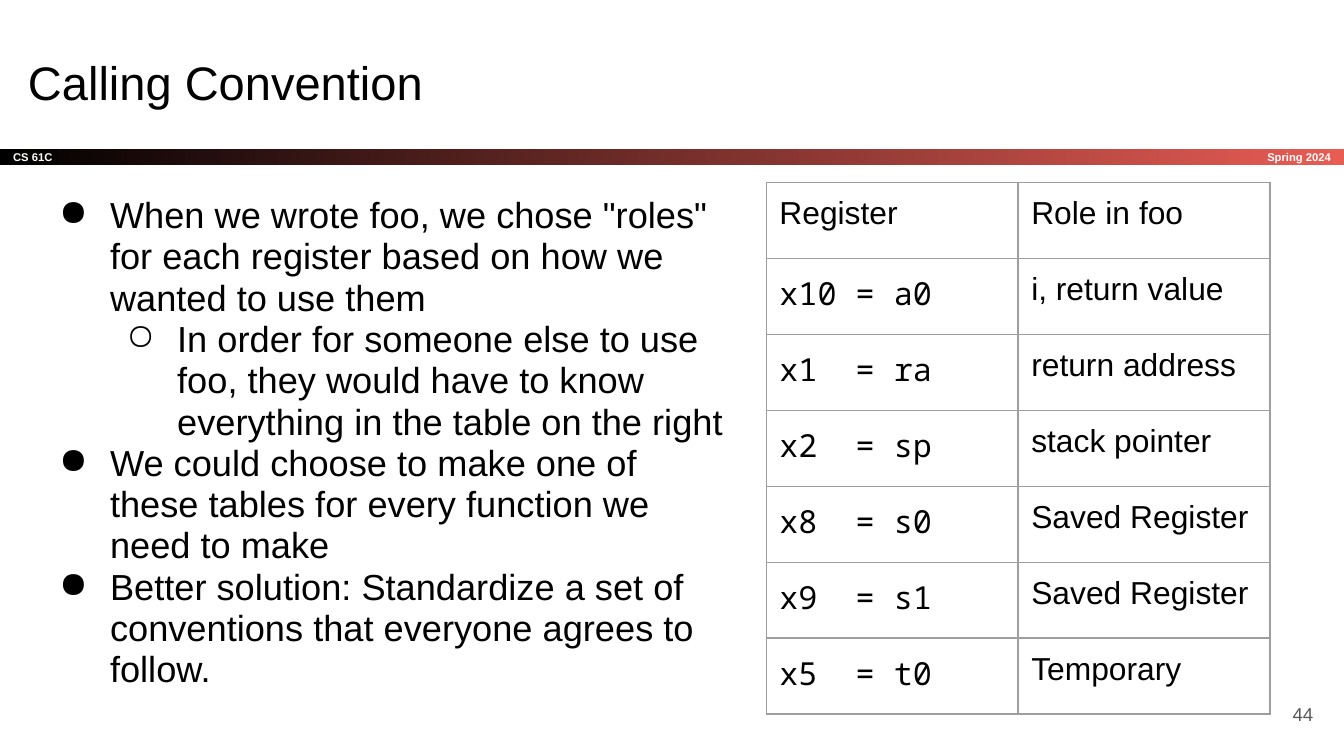
from lxml.etree import SubElement
from pptx import Presentation
from pptx.dml.color import RGBColor
from pptx.enum.shapes import MSO_SHAPE
from pptx.enum.text import MSO_ANCHOR as Anchor, PP_ALIGN as Align
from pptx.oxml.ns import qn
from pptx.util import Cm, Pt

BLACK = RGBColor(0, 0, 0)
WHITE = RGBColor(255, 255, 255)
RED = RGBColor(0xE8, 0x5C, 0x54)
GRAY = RGBColor(0x59, 0x59, 0x59)
RULE = RGBColor(0x9E, 0x9E, 0x9E)
SANS, MONO = "Arial", "Noto Sans Mono"
WIDTH, HEIGHT = 25.4, 14.29
PAD = Cm(0.25)

TITLE = "Calling Convention"
COURSE, TERM, NUMBER = "CS 61C", "Spring 2024", "44"
POINTS = [
    (0, 'When we wrote foo, we chose "roles" for each register based on how we wanted to use them'),
    (1, "In order for someone else to use foo, they would have to know everything in the table on the right"),
    (0, "We could choose to make one of these tables for every function we need to make"),
    (0, "Better solution: Standardize a set of conventions that everyone agrees to follow."),
]
HEADER = ("Register", "Role in foo")
ROLES = [
    ("x10 = a0", "i, return value"),
    ("x1  = ra", "return address"),
    ("x2  = sp", "stack pointer"),
    ("x8  = s0", "Saved Register"),
    ("x9  = s1", "Saved Register"),
    ("x5  = t0", "Temporary"),
]
BAND = (2.82, 0.3)  # top, height
BULLETS = "●○"
INDENT, HANG = 1.27, 0.96
COL, ROW = 4.76, 1.435


def style(para, size, color=BLACK, face=SANS, bold=False):
    font = para.font
    font.size, font.name, font.bold = Pt(size), face, bold
    font.color.rgb = color


def pad(frame):
    frame.margin_left = frame.margin_right = PAD
    frame.margin_top = frame.margin_bottom = PAD


def write(shape, text, size, color, bold=False, align=Align.LEFT, anchor=Anchor.MIDDLE):
    frame = shape.text_frame
    frame.word_wrap = True
    frame.vertical_anchor = anchor
    pad(frame)
    para = frame.paragraphs[0]
    para.text, para.alignment = text, align
    style(para, size, color, bold=bold)


def add_box(slide, left, top, width, height):
    return slide.shapes.add_textbox(Cm(left), Cm(top), Cm(width), Cm(height))


def add_band(slide):
    top, high = BAND
    band = slide.shapes.add_shape(MSO_SHAPE.RECTANGLE, 0, Cm(top), Cm(WIDTH), Cm(high))
    band.shadow.inherit = False
    band.line.fill.background()
    band.fill.gradient()
    band.fill.gradient_angle = 0
    for stop, color in zip(band.fill.gradient_stops, (BLACK, RED)):
        stop.color.rgb = color
    write(band, COURSE, 6, WHITE, bold=True)
    term = add_box(slide, WIDTH - 4.22, top, 4.22, high)
    write(term, TERM, 6, WHITE, bold=True, align=Align.RIGHT)


def add_points(slide):
    frame = add_box(slide, 0.56, 3.45, 13.46, 10.46).text_frame
    frame.word_wrap = True
    pad(frame)
    for i, (level, text) in enumerate(POINTS):
        para = frame.add_paragraph() if i else frame.paragraphs[0]
        para.text, para.level, para.line_spacing = text, level, 0.95
        props = para._p.get_or_add_pPr()
        props.set("marL", str(Cm(INDENT * (level + 1))))
        props.set("indent", str(-Cm(HANG)))
        tint = SubElement(props, qn("a:buClr"))
        SubElement(tint, qn("a:srgbClr"), val=str(BLACK))
        SubElement(props, qn("a:buChar"), char=BULLETS[level])
        style(para, 19.4)


def add_borders(cell):
    props = cell._tc.get_or_add_tcPr()
    for side in "LRTB":
        line = SubElement(props, qn(f"a:ln{side}"), w=str(Pt(0.75)))
        fill = SubElement(line, qn("a:solidFill"))
        SubElement(fill, qn("a:srgbClr"), val=str(RULE))


def add_roles(slide):
    rows = [HEADER, *ROLES]
    table = slide.shapes.add_table(len(rows), len(HEADER), Cm(14.48), Cm(3.45),
                                   Cm(COL * len(HEADER)), Cm(ROW * len(rows))).table
    table.first_row = table.horz_banding = False
    for col in table.columns:
        col.width = Cm(COL)
    for r, row in enumerate(rows):
        table.rows[r].height = Cm(ROW)
        for c, text in enumerate(row):
            cell = table.cell(r, c)
            pad(cell)
            add_borders(cell)
            cell.fill.background()
            para = cell.text_frame.paragraphs[0]
            para.text = text
            style(para, 17, face=MONO if r and c == 0 else SANS)


def main():
    deck = Presentation()
    deck.slide_width, deck.slide_height = Cm(WIDTH), Cm(HEIGHT)
    slide = deck.slides.add_slide(deck.slide_layouts[6])
    add_band(slide)
    write(add_box(slide, 0.28, 0.76, 23.67, 1.6), TITLE, 25.2, BLACK, anchor=Anchor.TOP)
    add_points(slide)
    write(add_box(slide, 23.55, 12.95, 1.52, 1.09), NUMBER, 10, GRAY, align=Align.RIGHT)
    add_roles(slide)
    deck.save("out.pptx")


if __name__ == "__main__":
    main()
